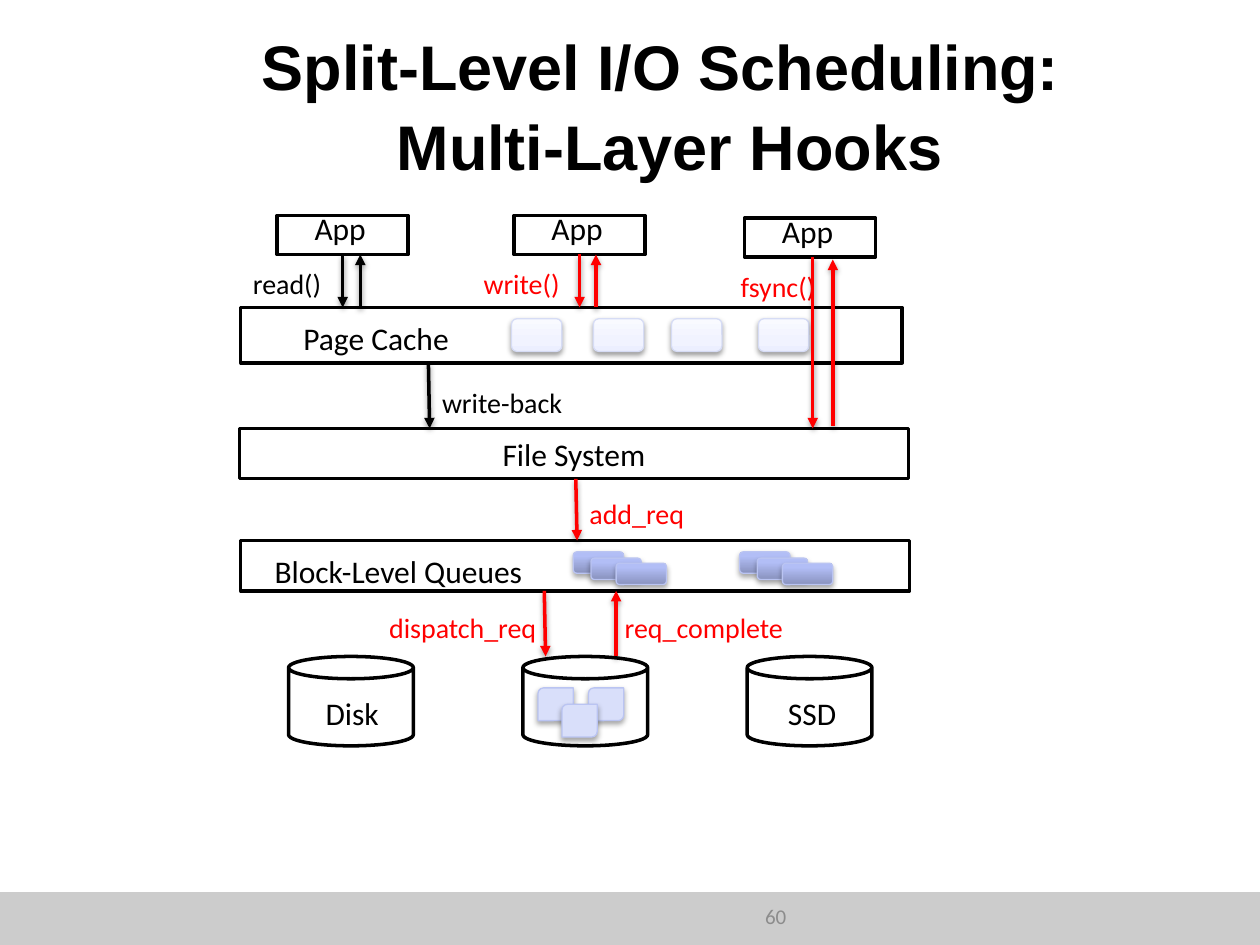
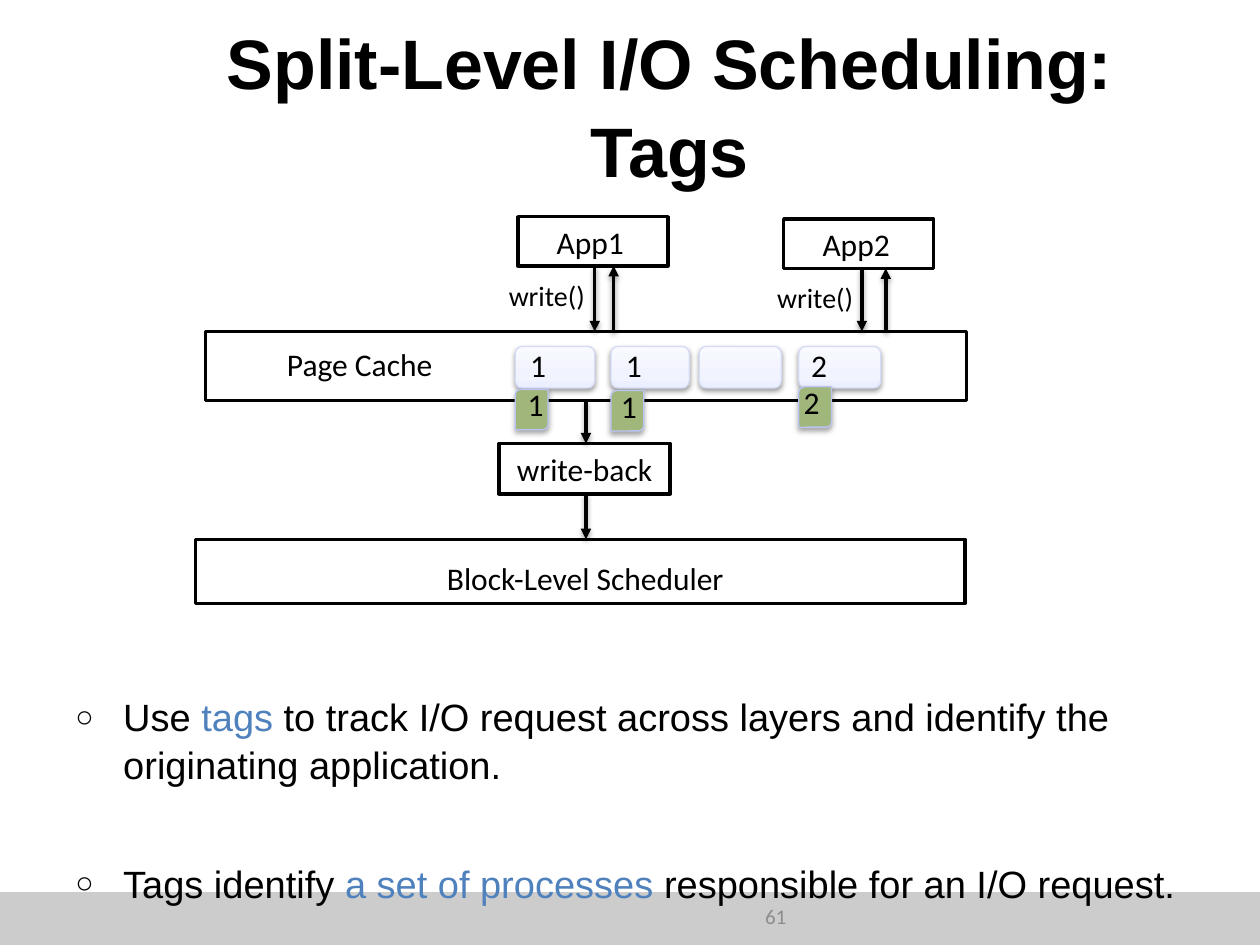
from dataclasses import dataclass

from lxml import etree
from pptx import Presentation
from pptx import util as u
from pptx.dml.color import RGBColor
from pptx.enum import shapes, text
from pptx.oxml import ns

SHAPE = shapes.MSO_SHAPE
ALIGN = text.PP_ALIGN


@dataclass(frozen=True)
class Theme:
    black: str = "000000"
    white: str = "FFFFFF"
    hook: str = "FF0000"
    accent: str = "4F81BD"
    band: str = "CCCCCC"
    page_number: str = "8C8C8C"
    block: str = "D9DFFA"
    tag: str = "A1B67A"
    page_edge: str = "D6DCF5"
    request_edge: str = "BAC4F2"
    page_stops: tuple = ((0, "ECEFFF"), (35, "F1F3FF"), (100, "F9FAFF"))
    request_stops: tuple = ((0, "8992BE"), (80, "B2BEF6"), (100, "B2BEF9"))
    soft_shadow: tuple = (1.6, 38)
    block_shadow: tuple = (1.8, 35)
    title_font: str = "Arial"
    label_font: str = "Calibri"
    body_size: float = 21.7
    label_size: int = 18
    call_size: int = 16
    page_number_size: int = 12
    outline: float = 2
    thin: float = 0.75
    line_spacing: float = 1.05


@dataclass(frozen=True)
class Box:
    left: float
    top: float
    width: float
    height: float

    @property
    def bottom(self):
        return self.top + self.height

    def inner(self, left, top, width, height):
        """Return a box whose position is measured from this box's corner."""
        return Box(self.left + left, self.top + top, width, height)

    def lengths(self):
        return [u.Inches(n) for n in (self.left, self.top, self.width, self.height)]


THEME = Theme()


def child(parent, tag, **attributes):
    return etree.SubElement(parent, ns.qn(tag), {k: str(v) for k, v in attributes.items()})


def set_font(font, size, color, name, bold=False):
    font.size, font.name, font.bold = u.Pt(size), name, bold
    font.color.rgb = RGBColor.from_string(color)


def cast_shadow(shape, shadow):
    """Add a downward shadow given as (distance in points, opacity in percent)."""
    distance, opacity = shadow
    effects = child(shape._element.spPr, "a:effectLst")
    outer = child(effects, "a:outerShdw", blurRad=u.Pt(3.1), dist=u.Pt(distance),
                  dir=5400000, rotWithShape=0)
    color = child(outer, "a:srgbClr", val=THEME.black)
    child(color, "a:alpha", val=opacity * 1000)


def fill_gradient(shape, stops):
    shape.fill.gradient()
    gradient = shape._element.spPr.find(ns.qn("a:gradFill"))
    for old in list(gradient):
        gradient.remove(old)
    stop_list = child(gradient, "a:gsLst")
    for position, color in stops:
        child(child(stop_list, "a:gs", pos=position * 1000), "a:srgbClr", val=color)
    child(gradient, "a:lin", ang=16200000, scaled=0)


def add_form(slide, kind, box, fill=THEME.white, edge=THEME.black,
             weight=THEME.outline, shadow=None):
    """Add a preset shape; fill is a colour, or a tuple of gradient stops."""
    shape = slide.shapes.add_shape(kind, *box.lengths())
    if isinstance(fill, tuple):
        fill_gradient(shape, fill)
    else:
        shape.fill.solid()
        shape.fill.fore_color.rgb = RGBColor.from_string(fill)
    if edge:
        shape.line.color.rgb = RGBColor.from_string(edge)
        shape.line.width = u.Pt(weight)
    else:
        shape.line.fill.background()
    if shadow:
        cast_shadow(shape, shadow)
    else:
        shape.shadow.inherit = False
    return shape


def write_label(shape, words, size=THEME.label_size, color=THEME.black, align=ALIGN.CENTER):
    frame = shape.text_frame
    frame.word_wrap = True
    frame.auto_size = text.MSO_AUTO_SIZE.SHAPE_TO_FIT_TEXT
    frame.vertical_anchor = text.MSO_ANCHOR.TOP
    paragraph = frame.paragraphs[0]
    paragraph.text = words
    paragraph.alignment = align
    set_font(paragraph.font, size, color, THEME.label_font)


def add_label(slide, box, words, **style):
    write_label(slide.shapes.add_textbox(*box.lengths()), words, **style)


def add_call_name(slide, box, words, color=THEME.black):
    add_label(slide, box, words, size=THEME.call_size, color=color, align=ALIGN.LEFT)


def add_arrow(slide, start, end, color=THEME.black):
    arrow = slide.shapes.add_connector(
        shapes.MSO_CONNECTOR.STRAIGHT, *[u.Inches(n) for n in (*start, *end)])
    arrow.line.color.rgb = RGBColor.from_string(color)
    arrow.line.width = u.Pt(THEME.outline)
    child(arrow._element.spPr.find(ns.qn("a:ln")), "a:tailEnd", type="triangle")
    cast_shadow(arrow, THEME.soft_shadow)


def add_layer(slide, box, words, label):
    """Draw a layer of the stack; label is (left, top, width) inside the box."""
    add_form(slide, SHAPE.RECTANGLE, box)
    add_label(slide, box.inner(*label, 0.4), words)


def add_app(slide, box, name, label_top):
    add_form(slide, SHAPE.RECTANGLE, box)
    add_label(slide, box.inner(-0.02, label_top, box.width, 0.4), name)


def add_call(slide, app, name, columns, floor, color=THEME.black, inset=0):
    """Draw a call and its return below an app.

    columns holds the left offsets of the name, the call and the return.
    inset shortens the return arrow at both ends.
    """
    name_left, down, back = columns
    add_call_name(slide, app.inner(name_left, app.height + 0.05, 0.9, 0.36), name, color)
    add_arrow(slide, (app.left + down, app.bottom), (app.left + down, floor), color)
    add_arrow(slide, (app.left + back, floor - inset), (app.left + back, app.bottom + inset), color)


def add_page(slide, box):
    add_form(slide, SHAPE.ROUNDED_RECTANGLE, box, THEME.page_stops, THEME.page_edge,
             THEME.thin, THEME.soft_shadow)


def add_block(slide, box, fill):
    add_form(slide, SHAPE.ROUND_2_DIAG_RECTANGLE, box, fill, THEME.request_edge,
             THEME.thin, THEME.block_shadow)


def add_request_stack(slide, box):
    for left, top in ((0, 0), (0.14, 0.05), (0.34, 0.09)):
        add_form(slide, SHAPE.ROUNDED_RECTANGLE, box.inner(left, top, 0.4, 0.17),
                 THEME.request_stops, THEME.request_edge, THEME.thin, THEME.block_shadow)


def add_frame(presentation, title, title_size, number):
    """Start a slide with the shared band, title and page number."""
    slide = presentation.slides.add_slide(presentation.slide_layouts[6])
    add_form(slide, SHAPE.RECTANGLE, Box(0, 7.08, 10, 0.42), THEME.band, edge=None)
    frame = slide.shapes.add_textbox(*Box(1.06, 0.33, 8.51, 0.98).lengths()).text_frame
    frame.word_wrap = True
    frame.vertical_anchor = text.MSO_ANCHOR.MIDDLE
    paragraph = frame.paragraphs[0]
    paragraph.text = title
    paragraph.alignment = ALIGN.CENTER
    paragraph.line_spacing = THEME.line_spacing
    set_font(paragraph.font, title_size, THEME.black, THEME.title_font, bold=True)
    add_label(slide, Box(4.01, 7.12, 2.33, 0.33), number, size=THEME.page_number_size,
              color=THEME.page_number, align=ALIGN.RIGHT)
    return slide


def add_drives(slide, box):
    cylinders = [box.inner(left, 0, 0.99, box.height) for left in (0, 1.86, 3.64)]
    for cylinder in cylinders:
        add_form(slide, SHAPE.CAN, cylinder)
    disk, busy, ssd = cylinders
    add_label(slide, disk.inner(0.06, 0.25, 0.89, 0.32), "Disk")
    add_label(slide, ssd.inner(0.07, 0.25, 0.89, 0.32), "SSD")
    for left, top in ((0.12, 0.25), (0.52, 0.25), (0.31, 0.38)):
        add_block(slide, busy.inner(left, top, 0.28, 0.26), THEME.block)


def build_hooks_slide(presentation):
    slide = add_frame(presentation, "Split-Level I/O Scheduling: \vMulti-Layer Hooks", 36, "60")
    cache = Box(1.91, 2.44, 5.25, 0.44)
    files = Box(1.9, 3.4, 5.31, 0.4)
    queues = Box(1.91, 4.29, 5.31, 0.4)
    drives = Box(2.29, 5.21, 4.63, 0.71)

    add_layer(slide, cache, "Page Cache", (-0.01, 0.04, 2.17))
    for left in (2.15, 2.8, 3.42, 4.11):
        add_page(slide, cache.inner(left, 0.09, 0.4, 0.26))
    add_layer(slide, files, "File System", (0, 0, files.width))
    add_layer(slide, queues, "Block-Level Queues ", (0.04, 0.04, 2.48))
    for left in (2.64, 3.96):
        add_request_stack(slide, queues.inner(left, 0.09, 0.74, 0.26))
    add_drives(slide, drives)

    calls = (
        (2.2, 1.71, "read()", (-0.29, 0.52, 0.66), cache.top, THEME.black, 0),
        (4.08, 1.71, "write()", (-0.34, 0.52, 0.65), cache.top, THEME.hook, 0),
        (5.91, 1.73, "fsync()", (-0.13, 0.54, 0.7), files.top, THEME.hook, 0.02),
    )
    for left, top, name, columns, floor, color, inset in calls:
        app = Box(left, top, 1.04, 0.31)
        add_app(slide, app, "App", -0.1)
        add_call(slide, app, name, columns, floor, color, inset)

    steps = (
        ("write-back", 3.41, 3.01, (3.4, cache.bottom), (3.41, files.top), THEME.black),
        ("add_req", 4.58, 3.89, (4.57, files.bottom), (4.58, queues.top), THEME.hook),
        ("dispatch_req", 2.99, 4.8, (4.32, queues.bottom), (4.33, drives.top), THEME.hook),
        ("req_complete", 4.86, 4.8, (4.89, drives.top), (4.89, queues.bottom), THEME.hook),
    )
    for name, left, top, start, end, color in steps:
        add_call_name(slide, Box(left, top, 1.55, 0.36), name, color)
        add_arrow(slide, start, end, color)


def add_bullets(slide, box, items):
    """Write hollow-bullet paragraphs; each item is a list of (words, colour) runs."""
    frame = slide.shapes.add_textbox(*box.lengths()).text_frame
    frame.word_wrap = True
    for index, runs in enumerate(items):
        paragraph = frame.add_paragraph() if index else frame.paragraphs[0]
        paragraph.line_spacing = THEME.line_spacing
        paragraph.space_before = u.Pt(0.2 * THEME.body_size if index else 0)
        paragraph.space_after = u.Pt(36)
        properties = paragraph._p.get_or_add_pPr()
        properties.set("marL", str(u.Inches(0.38)))
        properties.set("indent", str(-u.Inches(0.38)))
        child(child(properties, "a:buClr"), "a:srgbClr", val=THEME.black)
        child(properties, "a:buSzPct", val=80000)
        child(properties, "a:buFont", typeface=THEME.title_font)
        child(properties, "a:buChar", char="○")
        for words, color in runs:
            run = paragraph.add_run()
            run.text = words
            set_font(run.font, THEME.body_size, color, THEME.title_font)


def add_tagged_pages(slide, cache):
    """Place the cached pages, their owners' numbers and the tags below them."""
    pages = ((2.46, 0.63, "1", 0.46, 0), (3.22, 0.62, "1", 0.47, -0.02),
             (3.92, 0.65, None, 0, 0), (4.71, 0.65, "2", 0.44, -0.06))
    for left, width, owner, tag_top, digit_left in pages:
        add_page(slide, cache.inner(left, 0.12, width, 0.33))
        if owner:
            page_digit_left = 0 if owner == "2" else 0.02
            add_label(slide, cache.inner(left + page_digit_left, 0.07, 0.33, 0.4), owner,
                      align=ALIGN.LEFT)
            add_block(slide, cache.inner(left, tag_top, 0.26, 0.32), THEME.tag)
            add_label(slide, cache.inner(left + digit_left, tag_top - 0.08, 0.33, 0.4), owner,
                      align=ALIGN.LEFT)


def build_tags_slide(presentation):
    slide = add_frame(presentation, "Split-Level I/O Scheduling: Tags", 40, "61")
    cache = Box(1.63, 2.63, 6.04, 0.55)
    write_back = Box(3.96, 3.52, 1.36, 0.4)
    scheduler = Box(1.55, 4.28, 6.11, 0.51)

    add_layer(slide, cache, "Page Cache", (-0.02, 0.06, 2.49))
    add_tagged_pages(slide, cache)
    add_layer(slide, scheduler, "Block-Level Scheduler", (1.67, 0.11, 2.85))
    write_label(add_form(slide, SHAPE.RECTANGLE, write_back), "write-back")
    for above, below in ((cache, write_back), (write_back, scheduler)):
        add_arrow(slide, (4.65, above.bottom), (4.65, below.top))

    apps = ((4.11, 1.72, "App1", (-0.17, 0.61, 0.76)), (6.22, 1.74, "App2", (-0.15, 0.62, 0.81)))
    for left, top, name, columns in apps:
        app = Box(left, top, 1.19, 0.39)
        add_app(slide, app, name, 0)
        add_call(slide, app, "write()", columns, cache.top)

    add_bullets(slide, Box(0.5, 5.44, 9, 1.64), (
        [("Use ", THEME.black), ("tags", THEME.accent),
         (" to track I/O request across layers and identify the originating application.",
          THEME.black)],
        [("Tags identify ", THEME.black), ("a set of processes ", THEME.accent),
         ("responsible for an I/O request.", THEME.black)],
    ))


def main():
    presentation = Presentation()
    presentation.slide_width, presentation.slide_height = u.Inches(10), u.Inches(7.5)
    build_hooks_slide(presentation)
    build_tags_slide(presentation)
    presentation.save("out.pptx")


if __name__ == "__main__":
    main()
